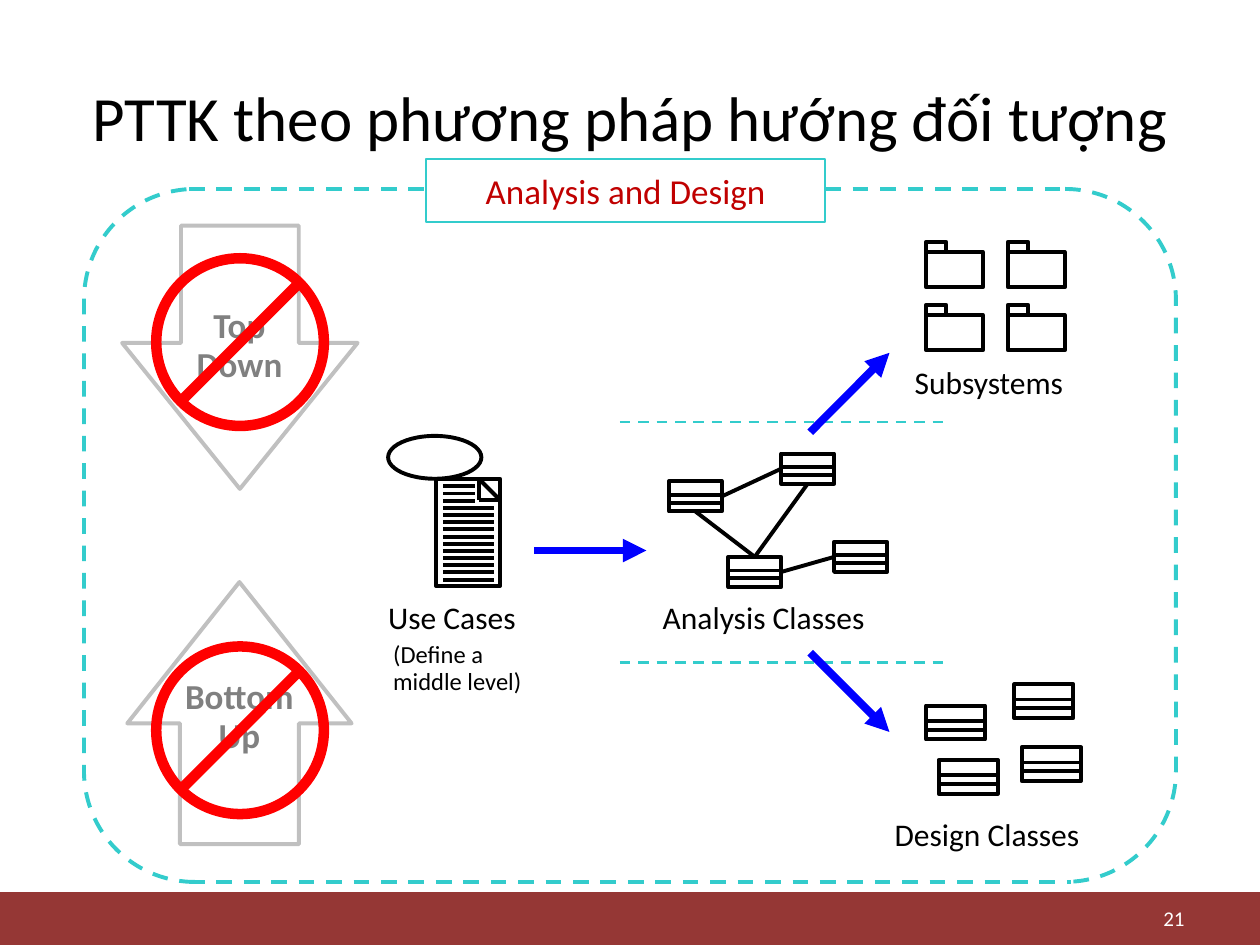
from dataclasses import dataclass

from lxml import etree
from pptx import Presentation
from pptx.dml.color import RGBColor
from pptx.enum.dml import MSO_LINE
from pptx.enum.shapes import MSO_CONNECTOR, MSO_SHAPE
from pptx.enum.text import MSO_ANCHOR, PP_ALIGN
from pptx.oxml.ns import qn
from pptx.util import Pt

RECT, ELLIPSE = MSO_SHAPE.RECTANGLE, MSO_SHAPE.OVAL
UP_ARROW, DOWN_ARROW = MSO_SHAPE.UP_ARROW, MSO_SHAPE.DOWN_ARROW
BRACKETS = MSO_SHAPE.DOUBLE_BRACKET
STRAIGHT, DASH = MSO_CONNECTOR.STRAIGHT, MSO_LINE.DASH
LEFT, CENTER, RIGHT = PP_ALIGN.LEFT, PP_ALIGN.CENTER, PP_ALIGN.RIGHT
TOP, MIDDLE = MSO_ANCHOR.TOP, MSO_ANCHOR.MIDDLE
SIDE_TOP, SIDE_LEFT, SIDE_BOTTOM, SIDE_RIGHT = range(4)


@dataclass(frozen=True)
class Theme:
    font: str = "Calibri"
    ink: str = "000000"
    white: str = "FFFFFF"
    bar: str = "953735"
    frame: str = "33CCCC"
    heading: str = "C00000"
    flow: str = "0000FF"
    ban: str = "FF0000"
    outline: str = "C0C0C0"
    muted: str = "808080"
    title: int = 36
    large: int = 20
    label: int = 18
    note: int = 14
    small: int = 12


def write(tf, text, size, color, bold=False, align=LEFT, anchor=TOP,
          margins=(0, 0), font=Theme.font):
    """Fill a text frame, one paragraph for each line of the text."""
    tf.word_wrap = True
    tf.vertical_anchor = anchor
    tf.margin_left = tf.margin_right = Pt(margins[0])
    tf.margin_top = tf.margin_bottom = Pt(margins[1])
    for i, line in enumerate(text.split("\n")):
        p = tf.add_paragraph() if i else tf.paragraphs[0]
        p.alignment = align
        if i:
            p.line_spacing = 0.95
        r = p.add_run()
        r.text = line
        r.font.name, r.font.size, r.font.bold = font, Pt(size), bold
        r.font.color.rgb = RGBColor.from_string(color)


class Deck:
    def __init__(self, prs, theme):
        self.theme = theme
        self.slide = prs.slides.add_slide(prs.slide_layouts[5])
        self.shapes = self.slide.shapes

    def group(self):
        """Send the following elements to a new group."""
        self.shapes = self.slide.shapes.add_group_shape().shapes

    def ungroup(self):
        self.shapes = self.slide.shapes

    def title(self, text, x, y, w, h):
        sp = self.slide.shapes.title
        sp.left, sp.top, sp.width, sp.height = Pt(x), Pt(y), Pt(w), Pt(h)
        write(sp.text_frame, text, self.theme.title, self.theme.ink,
              align=CENTER, anchor=MIDDLE)

    def text(self, text, x, y, w, h, size=Theme.label, color=Theme.ink, **fmt):
        sp = self.shapes.add_textbox(Pt(x), Pt(y), Pt(w), Pt(h))
        write(sp.text_frame, text, size, color, **fmt)

    def shape(self, kind, x, y, w, h, color=Theme.ink, weight=2.25,
              fill=None, dash=None, adj=()):
        sp = self.shapes.add_shape(kind, Pt(x), Pt(y), Pt(w), Pt(h))
        sp.shadow.inherit = False
        for i, value in enumerate(adj):
            sp.adjustments[i] = value
        if fill:
            sp.fill.solid()
            sp.fill.fore_color.rgb = RGBColor.from_string(fill)
            sp.line.fill.background()
        else:
            sp.fill.background()
            self.stroke(sp.line, color, weight, dash)
        return sp

    def stroke(self, line, color, weight, dash):
        line.color.rgb = RGBColor.from_string(color)
        line.width = Pt(weight)
        if dash:
            line.dash_style = dash

    def line(self, x1, y1, x2, y2, color=Theme.ink, weight=2.25, dash=None, arrow=False):
        c = self.shapes.add_connector(STRAIGHT, Pt(x1), Pt(y1), Pt(x2), Pt(y2))
        self.stroke(c.line, color, weight, dash)
        spPr = c.element.spPr
        if arrow:
            etree.SubElement(spPr.find(qn("a:ln")), qn("a:tailEnd"), type="triangle")
        etree.SubElement(spPr, qn("a:effectLst"))
        return c

    def join(self, start, start_side, end, end_side):
        c = self.line(0, 0, 0, 0)
        c.begin_connect(start, start_side)
        c.end_connect(end, end_side)

    def flow(self, x1, y1, x2, y2):
        self.line(x1, y1, x2, y2, self.theme.flow, 4.5, arrow=True)

    def class_icon(self, x, y, w, h):
        box = self.shape(RECT, x, y, w, h)
        for part in (0.45, 0.71):
            self.line(x, y + part * h, x + w, y + part * h)
        return box

    def folder(self, x, y):
        self.shape(RECT, x, y, 32.4, 20.2)
        self.shape(RECT, x, y - 5.8, 11.5, 5.8)

    def banned(self, x, y, d):
        self.group()
        self.shape(ELLIPSE, x, y, d, d, self.theme.ban, 6)
        inset = 0.15 * d
        self.line(x + d - inset, y + inset, x + inset, y + d - inset, self.theme.ban, 6)
        self.ungroup()


def main():
    t = Theme()
    prs = Presentation()
    prs.slide_width, prs.slide_height = Pt(720), Pt(540)
    s = Deck(prs, t)

    # Footer bar, title and page number
    s.shape(RECT, 0, 509.8, 720, 30.2, fill=t.bar)
    s.title("PTTK theo phương pháp hướng đối tượng", 36, 21.6, 648, 90)
    s.text("21", 516.2, 514.8, 167.8, 19.4, t.small, t.white,
           align=RIGHT, anchor=MIDDLE, margins=(7.2, 3.6))

    # Level separators
    s.group()
    for y in (241.2, 378.7):
        s.line(354.2, y, 540, y, t.frame, 1.5, DASH)

    # Design classes
    s.group()
    for x, y in ((529.2, 403.2), (536.4, 434.2), (579.6, 391), (583.9, 427)):
        s.class_icon(x, y, 33.8, 19.4)
    s.text("Design Classes", 511.2, 465.8, 125.3, 21.6)

    # Subsystems
    s.group()
    for y in (144, 180):
        for x in (529.2, 576):
            s.folder(x, y)
    s.text("Subsystems", 522.7, 207.4, 97.9, 21.6)

    # Use cases: oval and a page with a folded corner
    s.group()
    s.shape(ELLIPSE, 221.8, 249.1, 53.3, 24.5)
    s.shape(RECT, 249.1, 273.6, 36.7, 61.2)
    fold = ((273.6, 273.6), (285.8, 285.8), (273.6, 285.8))
    for i, start in enumerate(fold):
        s.line(*start, *fold[(i + 1) % 3])
    for i in range(14):
        y = 277.9 + 4.1 * i
        s.line(253.4, y, 271.4 if i < 3 else 282.2, y)
    s.text("Use Cases", 221.8, 342, 87.8, 21.6)

    # Analysis classes and their links
    s.group()
    left, upper, lower, right = [
        s.class_icon(x, y, 30.2, 17.3)
        for x, y in ((382.3, 275), (446.4, 259.2), (416.2, 318.2), (476.6, 309.6))]
    s.join(lower, SIDE_TOP, left, SIDE_BOTTOM)
    s.join(left, SIDE_RIGHT, upper, SIDE_LEFT)
    s.join(lower, SIDE_RIGHT, right, SIDE_LEFT)
    s.join(lower, SIDE_TOP, upper, SIDE_BOTTOM)
    s.text("Analysis Classes", 378.7, 342, 136.1, 21.6)
    s.ungroup()

    # Rejected approaches
    margins = (8.64, 4.32)
    for kind, box, adj, text, text_y, ban_y in (
            (UP_ARROW, (72.7, 332.6, 128.2, 149.8), (0.53, 0.63), "Bottom\nUp", 380.9, 369.4),
            (DOWN_ARROW, (69.8, 128.9, 134.6, 150.5), (0.5, 0.62), "Top\nDown", 169.2, 147.6)):
        s.shape(kind, *box, t.outline, adj=adj)
        s.text(text, 79.9, text_y, 113.8, 56.5, t.large, t.muted,
               bold=True, align=CENTER, margins=margins)
        s.banned(89.3, ban_y, 95.8)
    s.text("(Define a\nmiddle level)", 216, 360.7, 102.2, 41.8, t.note, margins=margins)

    # Dashed frame with its heading
    s.group()
    s.shape(BRACKETS, 48, 108, 624, 396, t.frame, dash=DASH, adj=(0.16,))
    for x1, x2, y in ((108, 612, 504), (108, 242.6, 108), (471.6, 612, 108)):
        s.line(x1, y, x2, y, t.frame, dash=DASH)
    s.ungroup()
    heading = s.shape(RECT, 243.4, 90.7, 228.2, 36, t.frame, 1)
    write(heading.text_frame, "Analysis and Design", t.large, t.heading,
          align=CENTER, anchor=MIDDLE, margins=margins)

    # Flow arrows
    s.flow(305.3, 314.6, 369.4, 314.6)
    s.flow(463, 247, 508.3, 201.6)
    s.flow(463, 373, 508.3, 418.3)

    prs.save("out.pptx")


if __name__ == "__main__":
    main()
